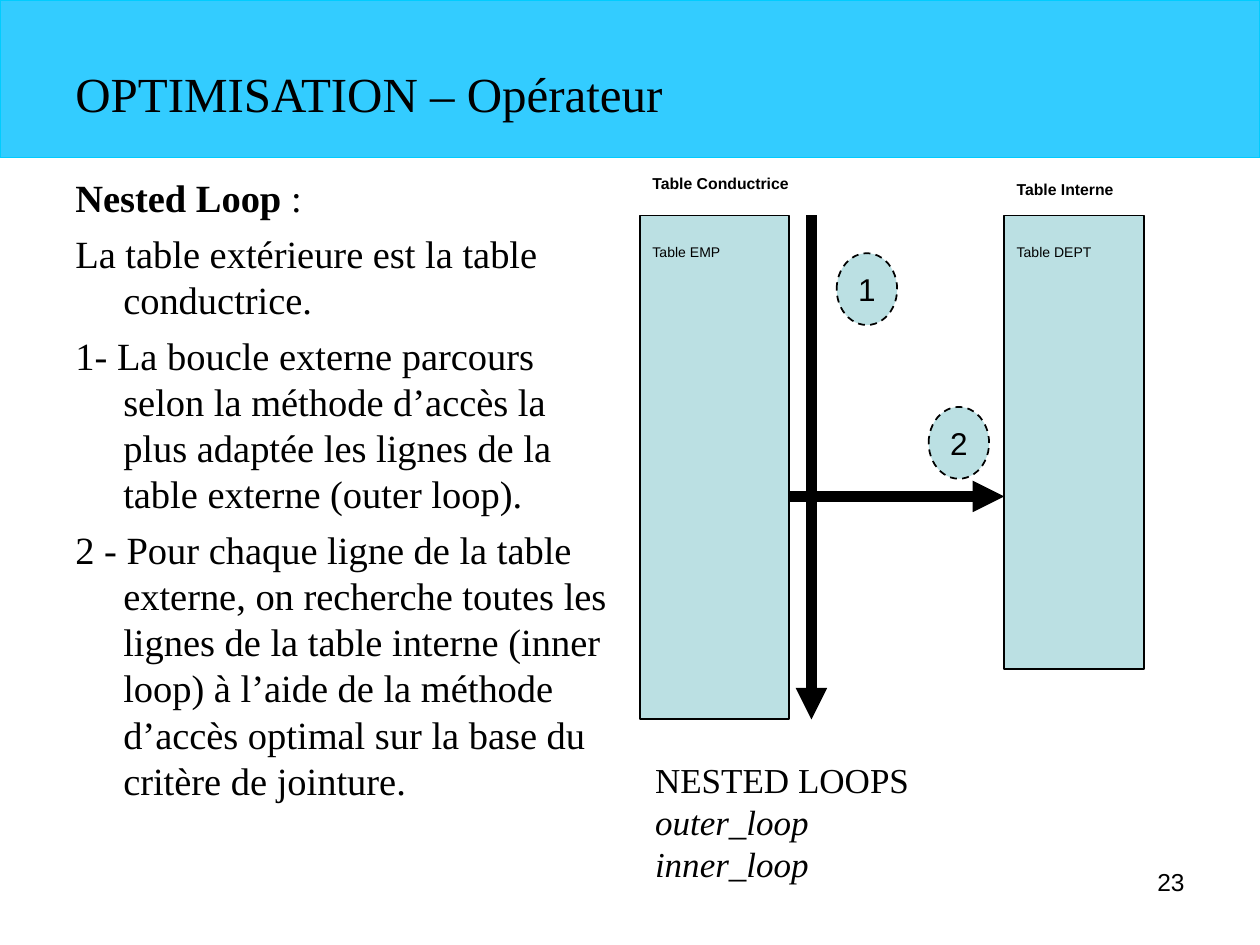
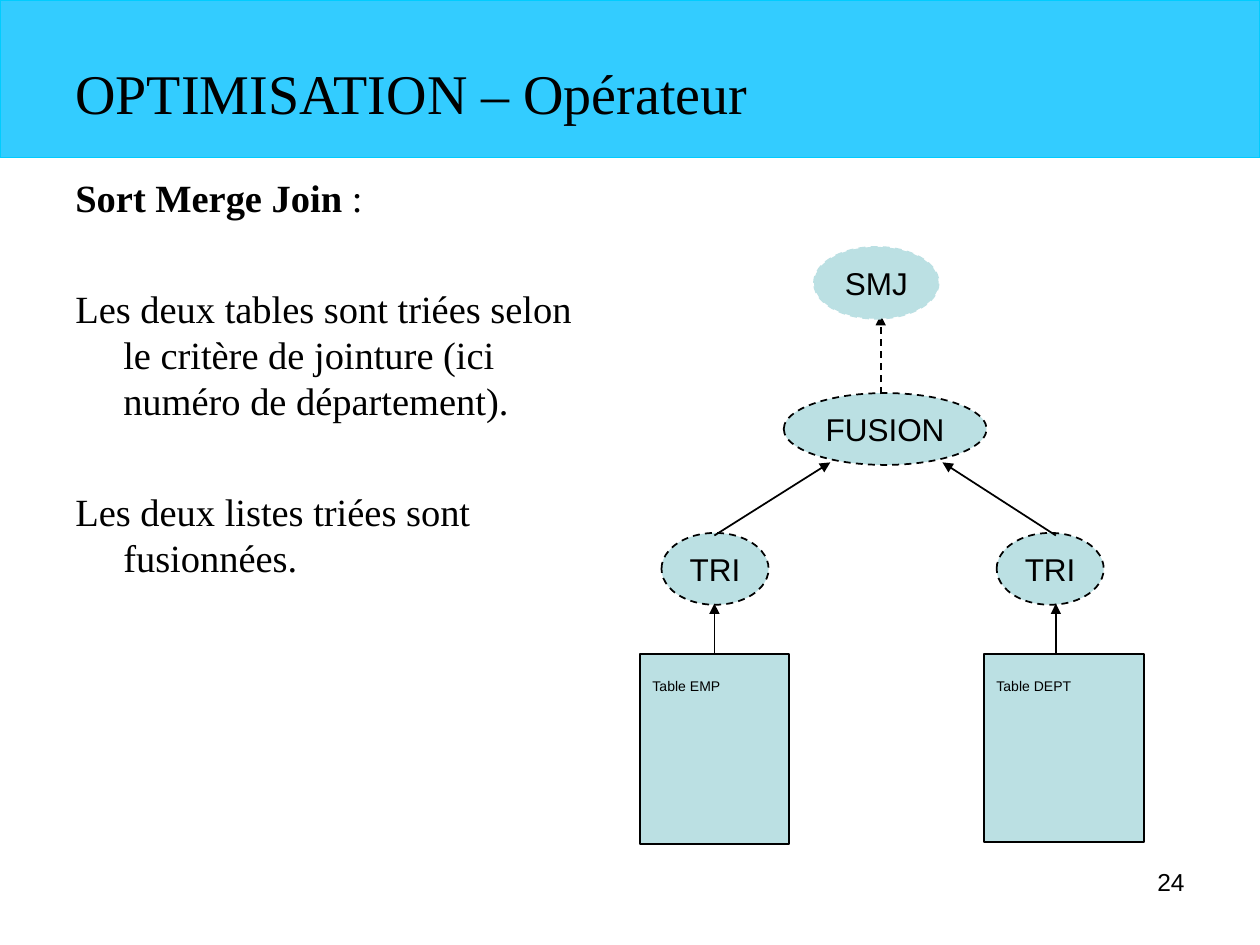
from lxml.etree import SubElement
from pptx import Presentation
from pptx.dml.color import RGBColor
from pptx.enum.dml import MSO_LINE
from pptx.enum.shapes import MSO_CONNECTOR, MSO_SHAPE
from pptx.enum.text import MSO_ANCHOR, PP_ALIGN
from pptx.oxml.ns import qn
from pptx.util import Inches, Pt

COLUMNS, ROWS = 100, 75
CELL = Inches(0.1)
BLACK = RGBColor(0x00, 0x00, 0x00)
BAND_FILL = RGBColor(0x33, 0xCC, 0xFF)
BAND_EDGE = RGBColor(0x00, 0xCC, 0xFF)
PALE = RGBColor(0xBB, 0xE0, 0xE3)
SERIF, SANS = "Times New Roman", "Arial"
THIN, THICK = 1, 6
LEFT = 5
DIAGRAM_LEFT = 50.8
BUBBLE_HEIGHT = 5.7
BODY_GAP, BLANK_GAP = 5.5, 37


def grid(*cells):
    """Turn grid columns and rows into slide lengths."""
    return [int(cell * CELL) for cell in cells]


def add_span(para, text, size, font, bold=False, italic=False):
    """Append one formatted run to a paragraph."""
    span = para.add_run()
    span.text = text
    span.font.size = Pt(size)
    span.font.name = font
    span.font.bold = bold
    span.font.italic = italic
    span.font.color.rgb = BLACK


def add_text(page, place, text, size, font, bold=False, before=0,
             align=PP_ALIGN.LEFT, anchor=MSO_ANCHOR.TOP):
    """Add a wrapping text box with one line and return its frame."""
    frame = page.shapes.add_textbox(*grid(*place)).text_frame
    frame.word_wrap = True
    frame.vertical_anchor = anchor
    para = frame.paragraphs[0]
    para.alignment = align
    para.space_before = Pt(before)
    add_span(para, text, size, font, bold)
    return frame


def add_block(page, kind, place, fill, edge, width=THIN, dashed=False):
    """Add a filled and outlined preset shape."""
    box = page.shapes.add_shape(kind, *grid(*place))
    box.shadow.inherit = False
    box.fill.solid()
    box.fill.fore_color.rgb = fill
    box.line.color.rgb = edge
    box.line.width = Pt(width)
    if dashed:
        box.line.dash_style = MSO_LINE.DASH
    return box


def add_bubble(page, left, top, width, text, edge=BLACK):
    """Add a dashed ellipse holding a centred label."""
    place = (left, top, width, BUBBLE_HEIGHT)
    frame = add_block(page, MSO_SHAPE.OVAL, place, PALE, edge, dashed=True).text_frame
    frame.word_wrap = False
    frame.vertical_anchor = MSO_ANCHOR.MIDDLE
    para = frame.paragraphs[0]
    para.alignment = PP_ALIGN.CENTER
    add_span(para, text, 18, SANS)


def add_arrow(page, start, end, width=THIN, dashed=False):
    """Add a straight line with a triangle at its end."""
    arrow = page.shapes.add_connector(MSO_CONNECTOR.STRAIGHT, *grid(*start, *end))
    arrow.line.color.rgb = BLACK
    arrow.line.width = Pt(width)
    if dashed:
        arrow.line.dash_style = MSO_LINE.DASH
    SubElement(arrow.line._get_or_add_ln(), qn("a:tailEnd"), type="triangle")
    SubElement(arrow._element.spPr, qn("a:effectLst"))


def add_table_panel(page, place, name, label_drop):
    """Add a rectangle standing for a database table, with its name."""
    left, top, width, _ = place
    add_block(page, MSO_SHAPE.RECTANGLE, place, PALE, BLACK)
    add_text(page, (left, top + label_drop, width, 2.4), name, 8, SANS, before=5)


def add_body(page, heading, items, gap):
    """Add the left column: a bold heading and hanging paragraphs."""
    frame = add_text(page, (LEFT, 13.3, 44.2, 53.7), heading, 22, SERIF,
                     bold=True, before=BODY_GAP)
    add_span(frame.paragraphs[0], ":", 22, SERIF)
    for item in items:
        para = frame.add_paragraph()
        para.space_before = Pt(gap)
        add_span(para, item, 22, SERIF)
    for para in frame.paragraphs:
        indent = para._p.get_or_add_pPr()
        indent.set("marL", str(Inches(0.38)))
        indent.set("indent", str(-Inches(0.38)))


def add_page(deck, number, title_size):
    """Add a slide with the shared band, title and page number."""
    page = deck.slides.add_slide(deck.slide_layouts[6])
    add_block(page, MSO_SHAPE.RECTANGLE, (0, 0, COLUMNS, ROWS / 6),
              BAND_FILL, BAND_EDGE, width=0.74)
    add_text(page, (71.7, 68.3, 23.3, 5.2), str(number), 14, SANS,
             align=PP_ALIGN.RIGHT)
    add_text(page, (LEFT, 3, 84.2, 8.7), "OPTIMISATION – Opérateur ", title_size,
             SERIF, anchor=MSO_ANCHOR.MIDDLE)
    return page


def build_nested_loop(deck):
    """Build the slide on the nested loop operator."""
    page = add_page(deck, 23, 28)
    add_body(page, "Nested Loop ", [
        "La table extérieure est la table conductrice.",
        "1- La boucle externe parcours selon la méthode d’accès la plus adaptée "
        "les lignes de la table externe (outer loop).",
        "2 - Pour chaque ligne de la table externe, on recherche toutes les lignes "
        "de la table interne (inner loop) à l’aide de la méthode d’accès optimal "
        "sur la base du critère de jointure.",
    ], BODY_GAP)
    top, inner_left = 17.1, 79.7
    add_table_panel(page, (DIAGRAM_LEFT, top, 11.8, 40), "Table EMP", 1.7)
    add_table_panel(page, (inner_left, top, 11.1, 36), "Table DEPT", 1.7)
    add_arrow(page, (64.4, top), (64.4, top + 40), THICK)
    add_arrow(page, (62.7, 39.4), (inner_left, 39.4), THICK)
    for left, label_top, text in ((DIAGRAM_LEFT, 13.3, "Table Conductrice"),
                                  (inner_left, 13.8, "Table Interne")):
        add_text(page, (left, label_top, 15.4, 2.5), text, 9, SANS,
                 bold=True, before=5.6)
    add_bubble(page, 66.4, 20.1, 4.8, "1")
    add_bubble(page, 73.7, 32.3, 4.8, "2")
    plan = add_text(page, (51, 59.7, 37.2, 14.4), "NESTED LOOPS ", 20, SERIF)
    for loop in ("outer_loop ", "inner_loop "):
        add_span(plan.add_paragraph(), loop, 20, SERIF, italic=True)


def build_sort_merge(deck):
    """Build the slide on the sort merge join operator."""
    page = add_page(deck, 24, 32)
    add_body(page, "Sort Merge Join ", [
        "Les deux tables sont triées selon le critère de jointure "
        "(ici numéro de département).",
        "Les deux listes triées sont fusionnées.",
    ], BLANK_GAP)
    top, sort_top = 51.9, 42.3
    add_table_panel(page, (DIAGRAM_LEFT, top, 11.8, 15.1), "Table EMP", 1.4)
    add_table_panel(page, (78.1, top, 12.7, 14.9), "Table DEPT", 1.4)
    for left in (52.5, 79.1):
        add_bubble(page, left, sort_top, 8.5, "TRI")
    add_bubble(page, 62.2, 31.2, 16.1, "FUSION")
    for column, merge_column in ((56.7, 65.9), (83.8, 74.8)):
        add_arrow(page, (column, top), (column, 47.9))
        add_arrow(page, (column, 42.5), (merge_column, 36.7))
    add_arrow(page, (69.9, 31.3), (69.9, 25), dashed=True)
    add_bubble(page, 64.6, 19.6, 9.9, "SMJ", edge=PALE)


def main():
    """Build the deck and save it."""
    deck = Presentation()
    deck.slide_width, deck.slide_height = grid(COLUMNS, ROWS)
    build_nested_loop(deck)
    build_sort_merge(deck)
    deck.save("out.pptx")


main()
